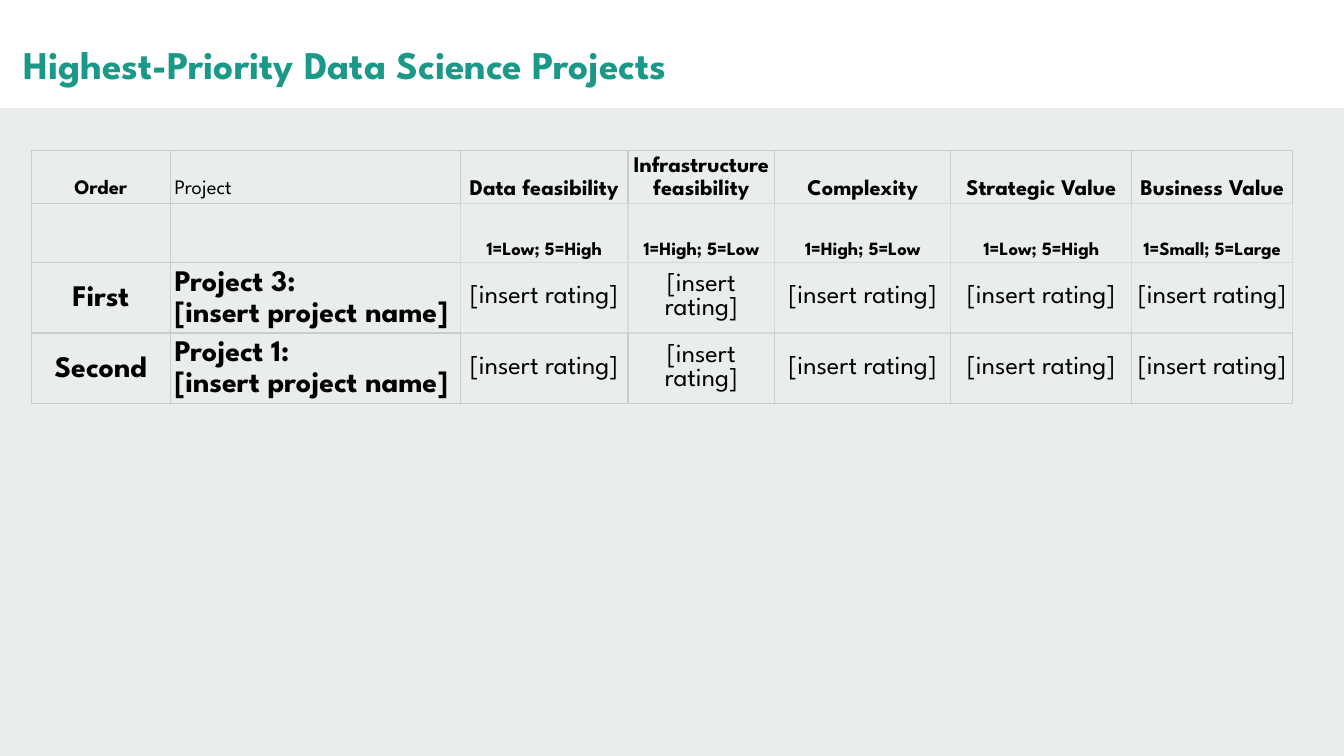
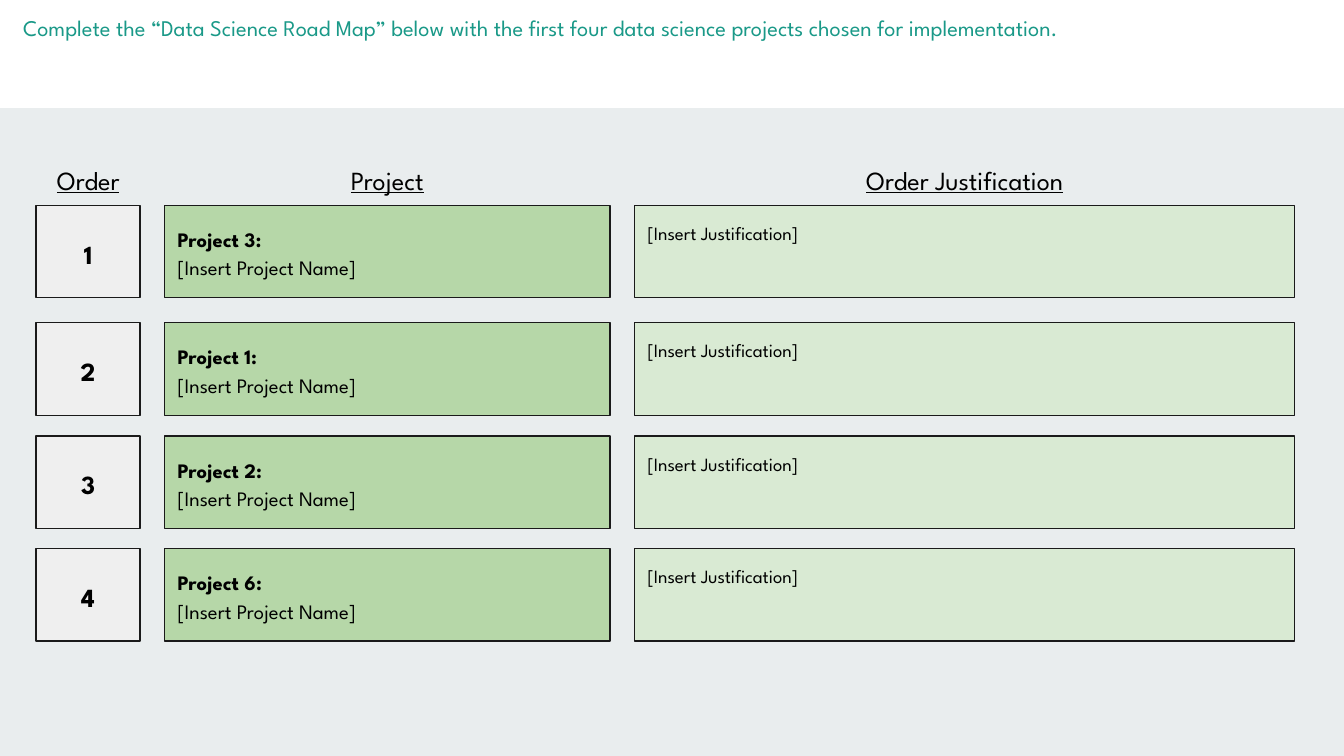
from lxml.etree import SubElement
from pptx import Presentation
from pptx.dml.color import RGBColor
from pptx.enum.shapes import MSO_SHAPE
from pptx.enum.text import MSO_ANCHOR, PP_ALIGN
from pptx.oxml.ns import qn
from pptx.util import Cm, Pt

FONT = "League Spartan"
TEAL, BLACK, WHITE = "1A9988", "000000", "FFFFFF"
BACKGROUND, OUTLINE = "E9EDEE", "1A1A1A"
GRID, GRID_LIGHT = "CCCCCC", "D9D9D9"
LEFT, CENTER = PP_ALIGN.LEFT, PP_ALIGN.CENTER
TOP, MIDDLE, BOTTOM = MSO_ANCHOR.TOP, MSO_ANCHOR.MIDDLE, MSO_ANCHOR.BOTTOM

color = RGBColor.from_string


def write_text(holder, lines, size, alignment=LEFT, anchor=TOP, spacing=1.15,
               margins=(0.25, 0.25), text_color=BLACK, underline=None):
    """Fill a shape or table cell; lines are (text, bold) pairs."""
    frame = holder.text_frame
    frame.word_wrap = True
    # A cell holds its own margins and anchor; a shape keeps them in its frame
    target = holder if hasattr(holder, "margin_left") else frame
    side, end = (Cm(margin) for margin in margins)
    layout = {"margin_left": side, "margin_right": side, "margin_top": end,
              "margin_bottom": end, "vertical_anchor": anchor}
    for name, value in layout.items():
        setattr(target, name, value)
    for index, (text, bold) in enumerate(lines):
        paragraph = frame.add_paragraph() if index else frame.paragraphs[0]
        paragraph.alignment, paragraph.line_spacing = alignment, spacing
        run = paragraph.add_run()
        run.text = text
        run.font.color.rgb = color(text_color)
        formats = {"name": FONT, "size": Pt(size), "bold": bold, "underline": underline}
        for name, value in formats.items():
            setattr(run.font, name, value)


def add_box(slide, left, top, width, height, fill, line=None):
    shape = slide.shapes.add_shape(
        MSO_SHAPE.RECTANGLE, Cm(left), Cm(top), Cm(width), Cm(height))
    shape.shadow.inherit = False
    shape.fill.solid()
    shape.fill.fore_color.rgb = color(fill)
    if line:
        shape.line.color.rgb = color(line)
        shape.line.width = Pt(0.75)
    else:
        shape.line.fill.background()
    return shape


presentation = Presentation()
presentation.slide_width, presentation.slide_height = Cm(25.4), Cm(14.29)

# Both slides: grey background, white band, teal title
titles = [
    ("Highest-Priority Data Science Projects", True, 21, 0.38),
    ("Complete the “Data Science Road Map” below with the first four data science "
     "projects chosen for implementation.", None, 12, -0.05),
]
slides = []
for title, bold, size, top in titles:
    slide = presentation.slides.add_slide(presentation.slide_layouts[6])
    slide.background.fill.solid()
    slide.background.fill.fore_color.rgb = color(BACKGROUND)
    add_box(slide, 0, 0, 25.4, 2.04, WHITE)
    title_box = slide.shapes.add_textbox(Cm(0.19), Cm(top), Cm(21.44), Cm(0.94))
    write_text(title_box, [(title, bold)], size, text_color=TEAL)
    slides.append(slide)
priority_slide, roadmap_slide = slides

# Priority table: content
rating = "[insert rating]"
name = "[insert project name]"
rows = [
    ["Order", "Project", "Data feasibility", "Infrastructure feasibility",
     "Complexity", "Strategic Value", "Business Value"],
    ["", "", "1=Low; 5=High", "1=High; 5=Low", "1=High; 5=Low",
     "1=Low; 5=High", "1=Small; 5=Large"],
    ["First", f"Project 3:\n{name}"] + [rating] * 5,
    ["Second", f"Project 1:\n{name}"] + [rating] * 5,
]
column_widths = [2.63, 5.48, 3.17, 2.77, 3.33, 3.42, 3.04]
row_heights = [1.0, 1.12, 1.32, 1.32]
label_sizes, score_sizes = [11, 11, 16, 16], [12, 10, 14, 14]

table = priority_slide.shapes.add_table(
    len(rows), len(column_widths), Cm(0.59), Cm(2.84),
    Cm(sum(column_widths)), Cm(sum(row_heights))).table
table.first_row = table.horz_banding = False
for column, width in zip(table.columns, column_widths):
    column.width = Cm(width)
for row, height in zip(table.rows, row_heights):
    row.height = Cm(height)

# Priority table: text and borders
for row_index, row in enumerate(rows):
    is_header = row_index < 2
    for column_index, text in enumerate(row):
        cell = table.cell(row_index, column_index)
        cell.fill.background()
        is_score = column_index > 1
        if text:
            is_plain = text in ("Project", rating)
            size = (score_sizes if is_score else label_sizes)[row_index]
            # Exact line heights keep the rows as low as the text allows
            line_height = Pt(size * (0.92 if text == rating else 1.04))
            write_text(
                cell, [(line, not is_plain) for line in text.split("\n")], size,
                alignment=LEFT if column_index == 1 else CENTER,
                anchor=BOTTOM if is_header else MIDDLE,
                spacing=line_height,
                margins=(0.08, 0.05 if is_header and is_score else 0.08))

        # Lighter lines surround the score cells of the two middle rows
        is_middle = row_index in (1, 2)
        light_sides = {
            "lnL": is_score and is_middle,
            "lnR": column_index > 0 and is_middle,
            "lnT": is_score and row_index > 0,
            "lnB": is_score and row_index < 3,
        }
        properties = cell._tc.get_or_add_tcPr()
        for position, (side, is_light) in enumerate(light_sides.items()):
            border = SubElement(properties, qn(f"a:{side}"), w=str(Pt(0.75)))
            properties.insert(position, border)
            fill = SubElement(border, qn("a:solidFill"))
            SubElement(fill, qn("a:srgbClr"), val=GRID_LIGHT if is_light else GRID)

# Road map: column headings
headings = [("Order", 0.69, 1.96), ("Project", 6.1, 2.44),
            ("Order Justification", 15.82, 4.83)]
for text, left, width in headings:
    heading = roadmap_slide.shapes.add_textbox(Cm(left), Cm(2.94), Cm(width), Cm(0.94))
    write_text(heading, [(text, None)], 14, CENTER, MIDDLE, spacing=1.0, underline=True)

# Road map: one row of three boxes per project
row_tops = [3.88, 6.1, 8.24, 10.37]
projects = ["Project 3:", "Project 1:", "Project 2:", "Project 6:"]
for order, (top, project) in enumerate(zip(row_tops, projects), start=1):
    boxes = [
        (0.68, 1.97, "EFEFEF", [(str(order), True)], 14, CENTER, MIDDLE),
        (3.11, 8.42, "B6D7A8", [(project, True), ("[Insert Project Name]", False)],
         11, LEFT, MIDDLE),
        (11.99, 12.48, "D9EAD3", [("[Insert Justification]", None)], 10, LEFT, TOP),
    ]
    for left, width, fill, lines, size, alignment, anchor in boxes:
        box = add_box(roadmap_slide, left, top, width, 1.75, fill, OUTLINE)
        write_text(box, lines, size, alignment, anchor)

presentation.save("out.pptx")
